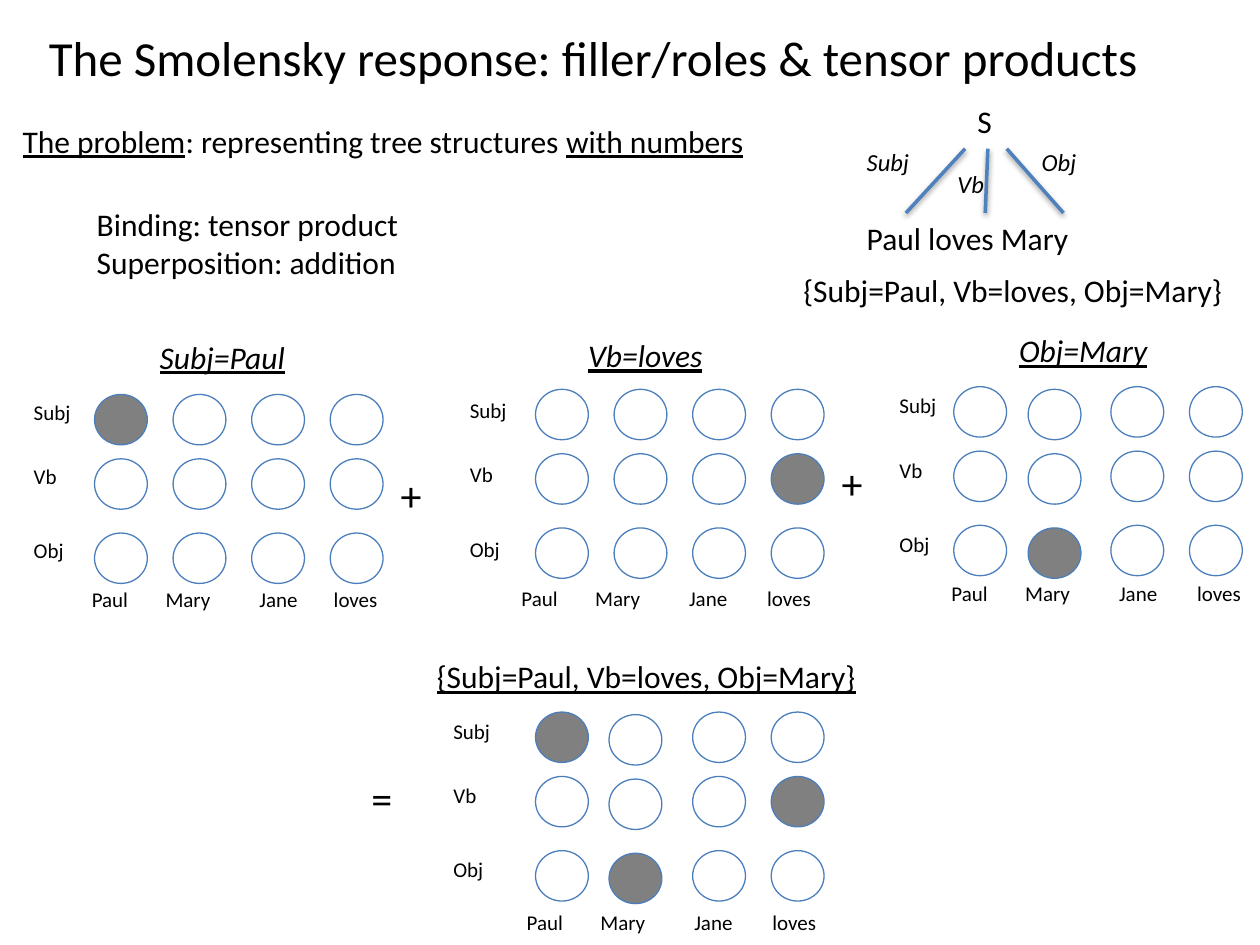
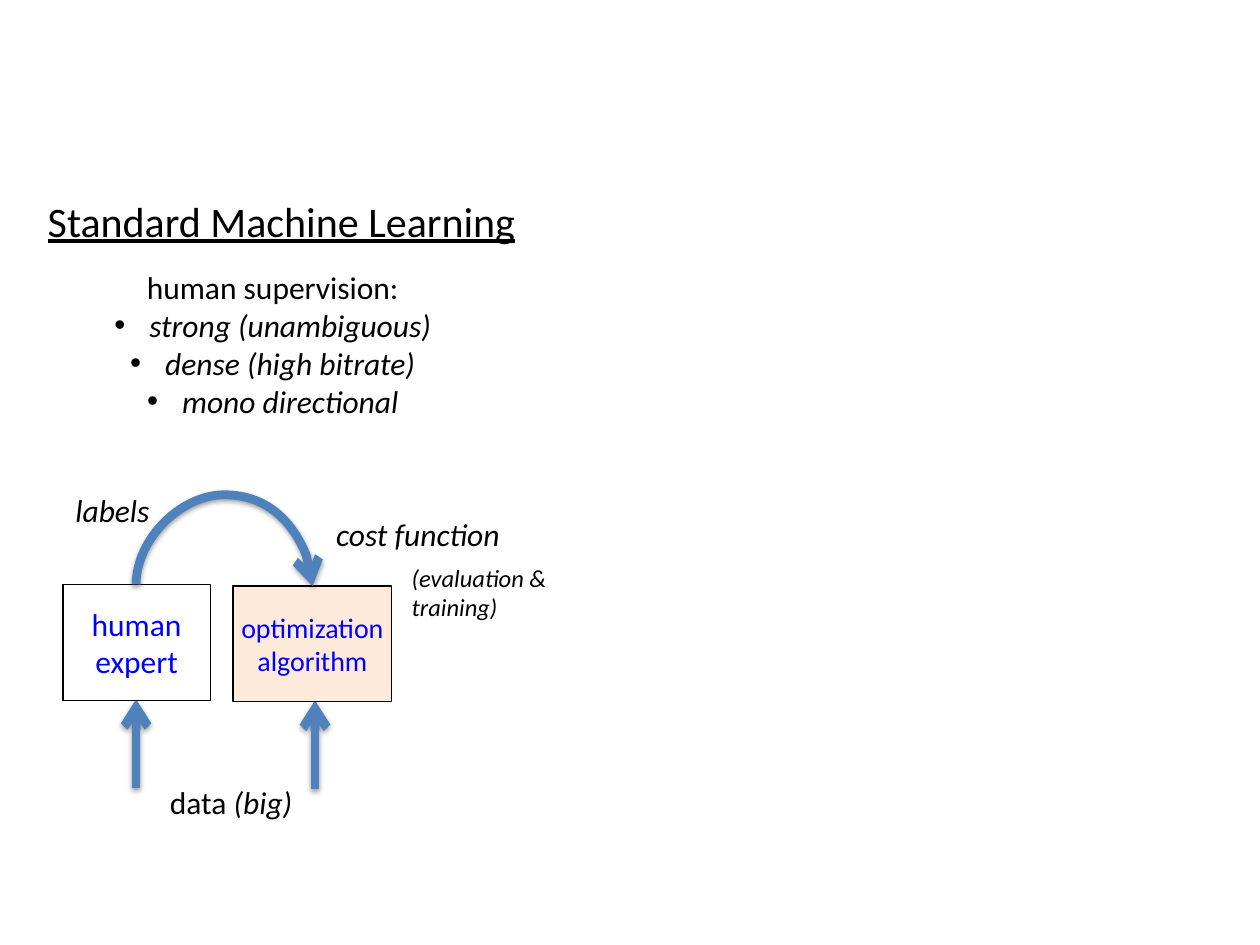
from dataclasses import dataclass
from typing import NamedTuple

from lxml.etree import SubElement
from pptx import Presentation
from pptx.dml.color import RGBColor
from pptx.enum.shapes import MSO_CONNECTOR as Conn, MSO_SHAPE as Shape
from pptx.enum.text import MSO_ANCHOR as Anchor, MSO_AUTO_SIZE as AutoSize, PP_ALIGN as Align
from pptx.oxml.ns import qn
from pptx.util import Pt

FONT = "Calibri"
BLACK, WHITE, GRAY = "000000", "FFFFFF", "808080"
BLUE_TEXT, PEACH = "0000FF", "FDEADA"
LINE_BLUE, CIRCLE_BLUE = "4F81BD", "4B7EBC"

ROLES = {"Subj": 38.9, "Vb": 30.2, "Obj": 33.1}  # label widths
FILLERS = {"Paul": 38.9, "Mary": 41.8, "Jane": 41, "loves": 42.5}
ROW_OFFSETS = (0, 36.8, 79.2)
COLUMN_STEP = 44.9
CIRCLE_W, CIRCLE_H = 30.2, 28.8


class Run(NamedTuple):
    text: str
    italic: bool = False
    underline: bool = False


class Label(NamedTuple):
    x: float
    y: float
    width: float
    runs: list[Run]
    size: float = 18


@dataclass
class Panel:
    """One role-by-filler grid; active holds (row, column) of gray units."""
    title: Label
    x: float
    y: float
    roles_x: float
    roles_y: float
    fillers_x: float
    fillers_y: float
    active: set[tuple[int, int]]
    mary_shift: tuple[float, float] = (0, 0)
    loves_offset: float = 140.4


def rgb(color: str) -> RGBColor:
    return RGBColor.from_string(color)


def add_runs(p, runs: list[Run], size: float, color: str = BLACK) -> None:
    for run in runs:
        r = p.add_run()
        r.text = run.text
        f = r.font
        f.name, f.size, f.color.rgb = FONT, Pt(size), rgb(color)
        f.italic, f.underline = run.italic, run.underline


def add_text(s, x: float, y: float, width: float, paragraphs: list[list[Run]],
             size: float = 18, wrap: bool = False):
    height = len(paragraphs) * size * 1.2 + 7.2
    tf = s.shapes.add_textbox(Pt(x), Pt(y), Pt(width), Pt(height)).text_frame
    tf.word_wrap = wrap
    tf.auto_size = AutoSize.SHAPE_TO_FIT_TEXT
    for i, runs in enumerate(paragraphs):
        p = tf.add_paragraph() if i else tf.paragraphs[0]
        add_runs(p, runs, size)
    return tf


def add_label(s, label: Label) -> None:
    add_text(s, label.x, label.y, label.width, [label.runs], label.size)


def add_preset(s, kind, x: float, y: float, w: float, h: float,
               fill: str | None, line: str):
    sp = s.shapes.add_shape(kind, Pt(x), Pt(y), Pt(w), Pt(h))
    sp.shadow.inherit = False
    if fill:
        sp.fill.solid()
        sp.fill.fore_color.rgb = rgb(fill)
    else:
        sp.fill.background()
    sp.line.color.rgb, sp.line.width = rgb(line), Pt(0.75)
    return sp


def add_box(s, x: float, y: float, w: float, h: float, fill: str,
            lines: list[str], size: float, side_inset: float) -> None:
    tf = add_preset(s, Shape.RECTANGLE, x, y, w, h, fill, BLACK).text_frame
    tf.word_wrap, tf.vertical_anchor = True, Anchor.MIDDLE
    tf.margin_left = tf.margin_right = Pt(side_inset)
    for i, line in enumerate(lines):
        p = tf.add_paragraph() if i else tf.paragraphs[0]
        p.alignment = Align.CENTER
        add_runs(p, [Run(line)], size, BLUE_TEXT)


def add_line(s, start: tuple[float, float], end: tuple[float, float], width: float,
             arrow: bool = False, kind=Conn.STRAIGHT):
    """Add a blue connector with a soft shadow below it."""
    c = s.shapes.add_connector(kind, *map(Pt, start + end))
    c.line.color.rgb, c.line.width = rgb(LINE_BLUE), Pt(width)
    if arrow:
        SubElement(c.line._get_or_add_ln(), qn("a:tailEnd"), type="arrow")
    effects = SubElement(c._element.spPr, qn("a:effectLst"))
    shadow = SubElement(effects, qn("a:outerShdw"), blurRad=str(Pt(3.1)),
                        dist=str(Pt(1.6)), dir="5400000", rotWithShape="0")
    color = SubElement(shadow, qn("a:srgbClr"), val=BLACK)
    SubElement(color, qn("a:alpha"), val="38000")
    return c


def add_arch(s, center: tuple[float, float], span: float, drop: float, bulge: float) -> None:
    """Add an arched arrow: a curved connector turned a quarter to the left."""
    x, y = center
    c = add_line(s, (x + drop / 2, y - span / 2), (x - drop / 2, y + span / 2),
                 5, True, Conn.CURVE)
    pr = c._element.spPr
    pr.find(qn("a:xfrm")).set("rot", "16200000")
    guides = pr.find(qn("a:prstGeom")).find(qn("a:avLst"))
    SubElement(guides, qn("a:gd"), name="adj1", fmla=f"val {-round(bulge / drop * 100000)}")


def add_bullet(p, margin: float, indent: float) -> None:
    pr = p._p.get_or_add_pPr()
    pr.set("marL", str(Pt(margin)))
    pr.set("indent", str(Pt(indent)))
    SubElement(pr, qn("a:buFont"), typeface="Arial")
    SubElement(pr, qn("a:buChar"), char="•")


def draw_panel(s, panel: Panel) -> None:
    add_label(s, panel.title)
    for (role, width), dy in zip(ROLES.items(), ROW_OFFSETS):
        add_text(s, panel.roles_x, panel.roles_y + dy, width, [[Run(role)]], 12)
    offsets = (0, 42.1, 95.8, panel.loves_offset)
    for col, ((filler, width), dx) in enumerate(zip(FILLERS.items(), offsets)):
        add_text(s, panel.fillers_x + dx, panel.fillers_y, width, [[Run(filler)]], 12)
        shift_x, shift_y = panel.mary_shift if filler == "Mary" else (0, 0)
        for row, dy in enumerate(ROW_OFFSETS):
            fill = GRAY if (row, col) in panel.active else None
            add_preset(s, Shape.OVAL, panel.x + col * COLUMN_STEP + shift_x,
                       panel.y + dy + shift_y, CIRCLE_W, CIRCLE_H, fill, CIRCLE_BLUE)


BINDING = "{Subj=Paul, Vb=loves, Obj=Mary}"
PANELS = [
    Panel(Label(84.2, 189.4, 102.2, [Run("Subj=Paul", True, True)]),
          54, 225.4, 12.2, 224.6, 45.4, 331.9, {(0, 0)}, loves_offset=138.2),
    Panel(Label(329, 188.6, 94.3, [Run("Vb=loves", True, True)]),
          306, 222.5, 261.4, 223.6, 290.9, 331.2, {(1, 3)}),
    Panel(Label(575.3, 185.8, 97.9, [Run("Obj=Mary", True, True)]),
          545, 221, 506.9, 221, 536.6, 328.3, {(2, 1)}, (-2.4, 1.5)),
    Panel(Label(242.6, 372.2, 285.1, [Run(BINDING, underline=True)]),
          306, 406.9, 252, 406.9, 293.9, 516.2, {(0, 0), (1, 3), (2, 1)}, (-2.9, 1.5)),
]
TREE_LABELS = [
    Label(488.2, 121.7, 144, [Run("Paul loves Mary")]),
    Label(551.5, 54.7, 26.6, [Run("S")]),
    Label(488.2, 80.6, 46.1, [Run("Subj", True)], 14),
    Label(540, 92.9, 35.3, [Run("Vb", True)], 14),
    Label(588.2, 80.6, 40.3, [Run("Obj", True)], 14),
    Label(452, 151.2, 285.1, [Run(BINDING)]),
]
OPERATORS = [
    Label(221.8, 265, 28.8, [Run("+")], 24),
    Label(473.8, 257.8, 28.8, [Run("+")], 24),
    Label(205.2, 437.8, 28.8, [Run("=")], 24),
]
LEARNING_LABELS = [
    Label(20.2, 108, 312.5, [Run("Standard Machine Learning", underline=True)], 24),
    Label(36, 277.2, 66.2, [Run("labels", True)]),
    Label(90, 444.2, 95, [Run("data "), Run("(big)", True)]),
    Label(185, 290.9, 121, [Run("cost function", True)]),
]


def draw_tensor_slide(s) -> None:
    add_text(s, 20.9, 12.2, 690, [[Run("The Smolensky response: filler/roles & tensor products")]],
             28, True)
    add_text(s, 5.8, 66.2, 462.2, [[Run("The problem", underline=True),
                                   Run(": representing tree structures "),
                                   Run("with numbers", underline=True)]])
    add_text(s, 48.2, 113.8, 201.6, [[Run("Binding: tensor product")],
                                     [Run("Superposition: addition")]])
    for top_x, bottom_x in ((551.5, 517.7), (564.5, 563), (575.3, 607.7)):
        add_line(s, (top_x, 85), (bottom_x, 121.7), 2)
    for label in TREE_LABELS + OPERATORS:
        add_label(s, label)
    for panel in PANELS:
        draw_panel(s, panel)


def draw_learning_slide(s) -> None:
    for label in LEARNING_LABELS:
        add_label(s, label)
    add_text(s, 228.2, 318.2, 120.2, [[Run("(evaluation & training)", True)]], 14, True)
    traits = ["strong (unambiguous)", "dense (high bitrate)", "mono directional"]
    tf = add_text(s, 54, 149.8, 203.8,
                  [[Run("human supervision:")]] + [[Run(t, True)] for t in traits], wrap=True)
    for i, p in enumerate(tf.paragraphs):
        p.alignment = Align.CENTER
        if i:
            add_bullet(p, 20, -20)
    for x, y in ((77.8, 450), (180, 450.7)):
        add_line(s, (x, y), (x, y - 50.4), 5, True)
    add_box(s, 36, 334, 84.2, 66.2, WHITE, ["human", "expert"], 18, 7.2)
    add_box(s, 133.2, 334.8, 90.7, 66.2, PEACH, ["optimization algorithm"], 16, 0)
    add_arch(s, (128.2, 334.4), 100.8, 0.88, 51.3)


def main() -> None:
    prs = Presentation()
    prs.slide_width, prs.slide_height = Pt(720), Pt(540)
    for draw in (draw_tensor_slide, draw_learning_slide):
        draw(prs.slides.add_slide(prs.slide_layouts[6]))
    prs.save("out.pptx")


if __name__ == "__main__":
    main()
